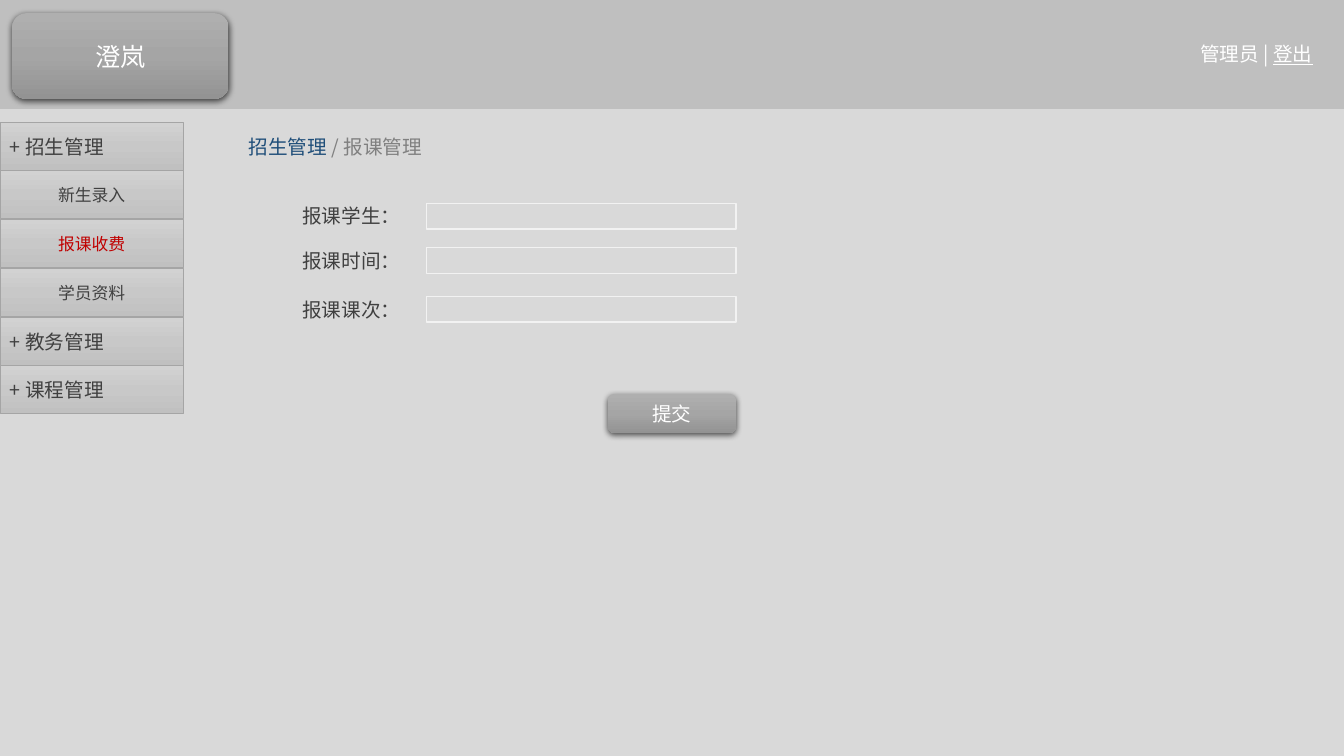
from pptx import Presentation
from pptx.dml.color import RGBColor
from pptx.enum.shapes import MSO_SHAPE
from pptx.enum.text import MSO_ANCHOR, MSO_AUTO_SIZE, PP_ALIGN
from pptx.oxml import parse_xml
from pptx.oxml.ns import nsdecls, qn
from pptx.util import Pt

RECT, ROUNDED = MSO_SHAPE.RECTANGLE, MSO_SHAPE.ROUNDED_RECTANGLE
LEFT, CENTER = PP_ALIGN.LEFT, PP_ALIGN.CENTER
MIDDLE, TOP = MSO_ANCHOR.MIDDLE, MSO_ANCHOR.TOP
FONT = "Noto Sans CJK SC"
SLIDE_W, SLIDE_H = 960, 540
HEADER_H = 77.75

PAGE, HEADER, WHITE, INK = "D9D9D9", "BFBFBF", "FFFFFF", "404040"
ACTIVE, LINK, MUTED = "C00000", "1F4E79", "808080"
MENU_LINE, FIELD_LINE = "A5A5A5", "F2F2F2"
BUTTON_FILL = ("AFAFAF", "A5A5A5", "939393")
MENU_FILL = ("D2D2D2", "C8C8C8", "C0C0C0")


def rgb(value):
    return RGBColor.from_string(value)


def write(shape, *parts, size=14, color=INK, align=CENTER, anchor=MIDDLE):
    """Fill a shape with one line; a part is text or (text, colour, underline)."""
    frame = shape.text_frame
    frame.word_wrap = True
    frame.vertical_anchor = anchor
    line = frame.paragraphs[0]
    line.alignment = align
    for part in parts:
        text, tint, underline = (part, color, False) if isinstance(part, str) else part
        run = line.add_run()
        run.text = text
        run.font.size = Pt(size)
        run.font.color.rgb = rgb(tint)
        run.font.name = FONT
        if underline:
            run.font.underline = True
        run.font._element.append(
            parse_xml(f'<a:ea {nsdecls("a")} typeface="{FONT}"/>'))


def fill_gradient(shape, colors):
    """Shade from top to bottom through evenly spaced colours."""
    shape.fill.gradient()
    shape.fill.gradient_angle = 270
    stops = next(shape._element.iter(qn("a:gsLst")))
    for stop in list(stops):
        stops.remove(stop)
    for i, color in enumerate(colors):
        position = 100000 * i // (len(colors) - 1)
        stops.append(parse_xml(
            f'<a:gs {nsdecls("a")} pos="{position}"><a:srgbClr val="{color}"/></a:gs>'))


def add_box(slide, box, kind=RECT, fill=None, line=None, line_width=0.5):
    shape = slide.shapes.add_shape(kind, *map(Pt, box))
    shape.shadow.inherit = False
    if fill is None:
        shape.fill.background()
    elif isinstance(fill, str):
        shape.fill.solid()
        shape.fill.fore_color.rgb = rgb(fill)
    else:
        fill_gradient(shape, fill)
    if line:
        shape.line.color.rgb = rgb(line)
        shape.line.width = Pt(line_width)
    else:
        shape.line.fill.background()
    return shape


def add_button(slide, box, label, size=14):
    button = add_box(slide, box, ROUNDED, BUTTON_FILL)
    effects = button._element.spPr.find(qn("a:effectLst"))
    effects.append(parse_xml(
        f'<a:outerShdw {nsdecls("a")} blurRad="{Pt(4.5)}" dist="{Pt(1.5)}" '
        'dir="5400000" algn="ctr" rotWithShape="0">'
        '<a:srgbClr val="000000"><a:alpha val="63000"/></a:srgbClr></a:outerShdw>'))
    write(button, label, size=size, color=WHITE)


def add_header(slide, box):
    left, top, width, _ = box
    add_box(slide, box, fill=HEADER)
    add_button(slide, (left + 8.6, top + 9.4, 154.8, 61.2), "澄岚", size=18)
    account = add_box(slide, (left + width - 113.3, top + 22.3, 101.5, 32.4), fill=HEADER)
    write(account, "管理员 | ", ("登出", WHITE, True), color=WHITE)


def add_menu(slide, box, groups):
    left, top, width, row_h = box
    for heading, pages in groups:
        row = add_box(slide, (left, top, width, row_h), fill=MENU_FILL, line=MENU_LINE)
        write(row, f"+ {heading}", align=LEFT)
        top += 34.4
        for page, color in pages:
            row = add_box(slide, (left, top, width, row_h), fill=MENU_FILL, line=MENU_LINE)
            write(row, page, size=12, color=color)
            top += 35


def add_breadcrumb(slide, box):
    title = slide.shapes.title
    title.left, title.top, title.width, title.height = map(Pt, box)
    title.text_frame.auto_size = MSO_AUTO_SIZE.NONE
    write(title, ("招生管理 ", LINK, False), ("/ 报课管理", MUTED, False), align=LEFT)


def add_form(slide, box, rows):
    """Place labelled fields at the given offsets, with a submit button below."""
    left, top, width, height = box
    field_w = 221
    field_left = left + width - field_w
    for label, offset in rows:
        caption = slide.shapes.add_textbox(
            Pt(left), Pt(top + offset), Pt(114.5), Pt(24.2))
        write(caption, label, align=LEFT, anchor=TOP)
        add_box(slide, (field_left, top + offset + 2.9, field_w, 18.3),
                line=FIELD_LINE, line_width=1)
    button_w, button_h = 91.8, 27.6
    add_button(slide, (left + width - button_w, top + height - button_h,
                       button_w, button_h), "提交")


def main():
    deck = Presentation()
    deck.slide_width, deck.slide_height = Pt(SLIDE_W), Pt(SLIDE_H)
    slide = deck.slides.add_slide(deck.slide_layouts[5])
    slide.background.fill.solid()
    slide.background.fill.fore_color.rgb = rgb(PAGE)

    add_header(slide, (0, 0, SLIDE_W, HEADER_H))
    add_menu(slide, (0, 87.1, 131, 34.7), [
        ("招生管理", [("新生录入", INK), ("报课收费", ACTIVE), ("学员资料", INK)]),
        ("教务管理", []),
        ("课程管理", []),
    ])
    add_breadcrumb(slide, (170.3, 87.1, SLIDE_W - 170.3, 34.7))
    add_form(slide, (208.8, 142.4, 317, 166.8), [
        ("报课学生：", 0),
        ("报课时间：", 31.7),
        ("报课课次：", 66.5),
    ])
    deck.save("out.pptx")


if __name__ == "__main__":
    main()
